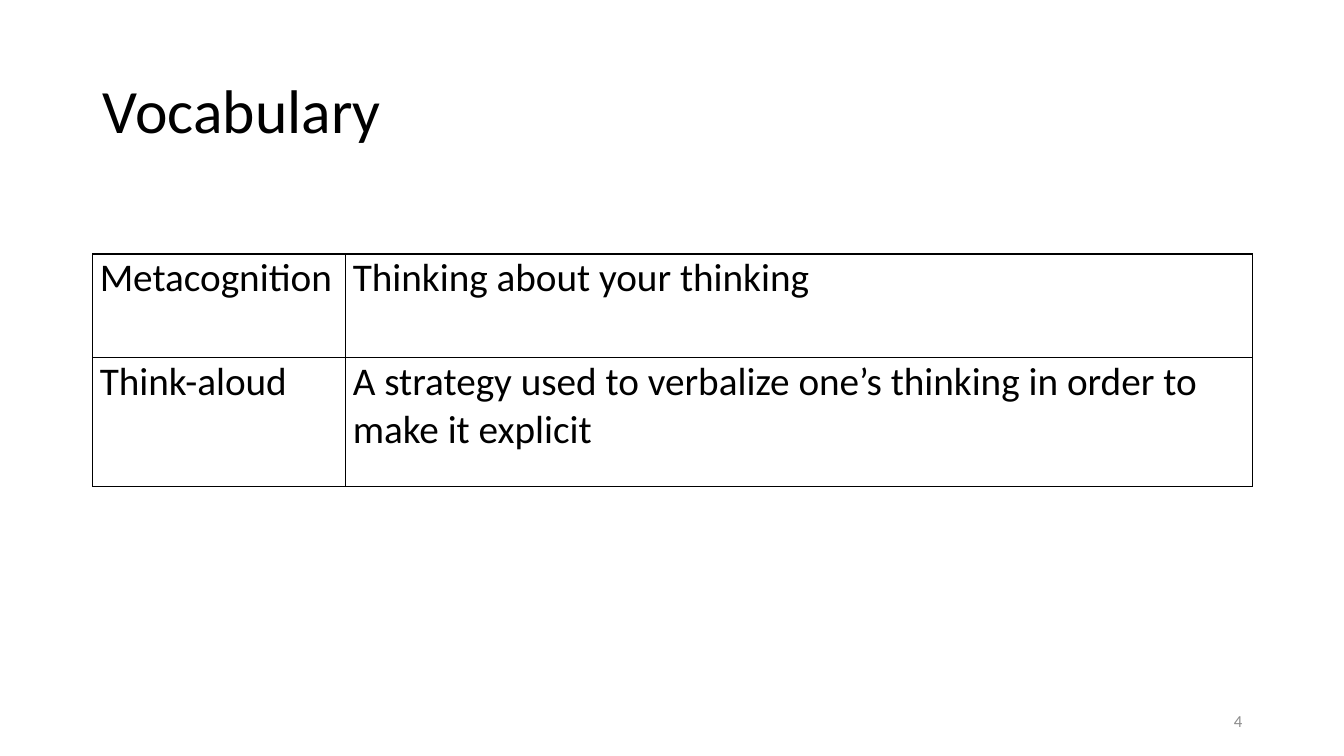
from lxml import etree
from pptx import Presentation
from pptx import util as u
from pptx.dml.color import RGBColor
from pptx.enum import text
from pptx.oxml import ns

COLORS = {"ink": "000000", "muted": "8C8C8C"}
TERMS = [
    ("Metacognition", "Thinking about your thinking"),
    ("Think-aloud",
     "A strategy used to verbalize one’s thinking in order to make it explicit"),
]
LEFT, WIDTH = 0.92, 11.5


def style(par, size, color, align=text.PP_ALIGN.LEFT):
    """Format the runs and alignment of a paragraph."""
    par.alignment = align
    for run in par.runs:
        run.font.name = "Calibri"
        run.font.size = u.Pt(size)
        run.font.color.rgb = RGBColor.from_string(COLORS[color])


def add_title(slide, words):
    """Place and fill the title."""
    title = slide.shapes.title
    title.left, title.top = u.Inches(LEFT), u.Inches(0.4)
    title.width, title.height = u.Inches(WIDTH), u.Inches(1.45)
    frame = title.text_frame
    frame.text = words
    frame.vertical_anchor = text.MSO_ANCHOR.MIDDLE
    frame.paragraphs[0].line_spacing = 0.9
    style(frame.paragraphs[0], 44, "ink")


def add_rules(cell):
    """Draw a thin line on all four sides of a cell."""
    props = cell._tc.get_or_add_tcPr()
    for side in ("lnL", "lnR", "lnT", "lnB"):
        line = etree.SubElement(props, ns.qn(f"a:{side}"), w=str(u.Pt(1)))
        fill = etree.SubElement(line, ns.qn("a:solidFill"))
        etree.SubElement(fill, ns.qn("a:srgbClr"), val=COLORS["ink"])


def fill_cell(cell, words):
    """Write and format one table cell."""
    cell.text = words
    cell.margin_left = cell.margin_right = u.Inches(0.07)
    cell.margin_top = cell.margin_bottom = 0
    par = cell.text_frame.paragraphs[0]
    par.space_after = u.Pt(6)
    style(par, 28, "ink")
    add_rules(cell)
    cell.fill.background()


def add_terms(slide, rows, widths, heights):
    """Add the table of terms and meanings."""
    frame = slide.shapes.add_table(
        len(rows), len(widths), u.Inches(LEFT), u.Inches(2.52),
        u.Inches(sum(widths)), u.Inches(sum(heights)))
    table = frame.table
    table.first_row = table.horz_banding = False
    for col, width in zip(table.columns, widths):
        col.width = u.Inches(width)
    for row, height, words in zip(table.rows, heights, rows):
        row.height = u.Inches(height)
        for cell, word in zip(row.cells, words):
            fill_cell(cell, word)


def add_number(slide, number):
    """Add the slide number at the lower right."""
    box = slide.shapes.add_textbox(
        u.Inches(9.42), u.Inches(6.95), u.Inches(3), u.Inches(0.4))
    frame = box.text_frame
    frame.word_wrap = True
    frame.vertical_anchor = text.MSO_ANCHOR.MIDDLE
    frame.text = number
    style(frame.paragraphs[0], 12, "muted", text.PP_ALIGN.RIGHT)


def main():
    """Build and save the vocabulary slide."""
    deck = Presentation()
    deck.slide_width, deck.slide_height = u.Inches(13.33), u.Inches(7.5)
    slide = deck.slides.add_slide(deck.slide_layouts[5])
    add_title(slide, "Vocabulary")
    add_terms(slide, TERMS, (2.51, 8.99), (1.03, 1.28))
    add_number(slide, "4")
    deck.save("out.pptx")


if __name__ == "__main__":
    main()
